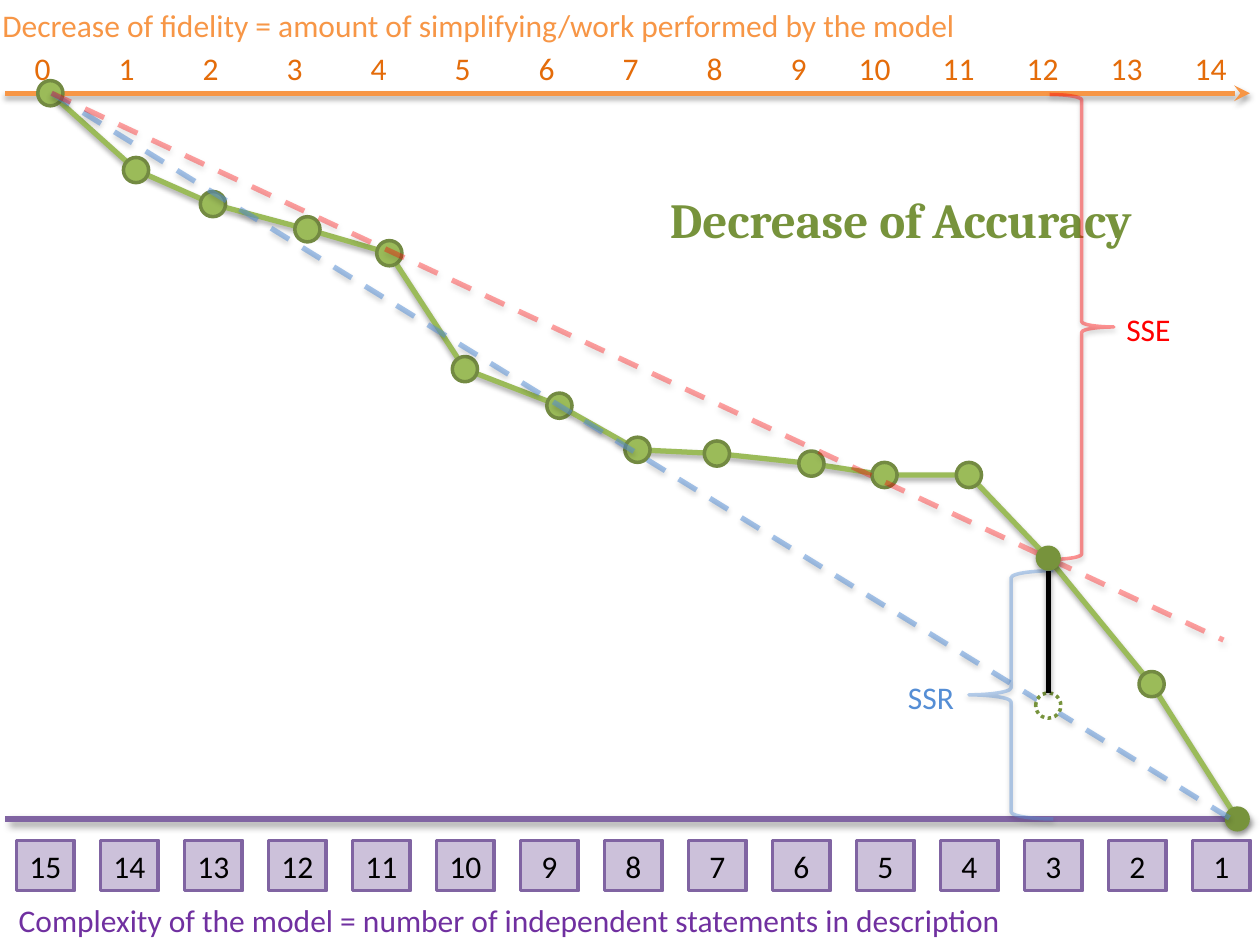
from collections import namedtuple

from lxml import etree
from pptx import Presentation
from pptx.dml.color import RGBColor
from pptx.enum.dml import MSO_LINE_DASH_STYLE
from pptx.enum.shapes import MSO_CONNECTOR_TYPE, MSO_SHAPE
from pptx.enum.text import MSO_ANCHOR, MSO_AUTO_SIZE, PP_ALIGN
from pptx.oxml.ns import qn
from pptx.util import Inches, Pt

STRAIGHT = MSO_CONNECTOR_TYPE.STRAIGHT
RECTANGLE, OVAL = MSO_SHAPE.RECTANGLE, MSO_SHAPE.OVAL
RIGHT_BRACE = MSO_SHAPE.RIGHT_BRACE
DASH, ROUND_DOT = MSO_LINE_DASH_STYLE.DASH, MSO_LINE_DASH_STYLE.ROUND_DOT
LEFT, CENTER, RIGHT = PP_ALIGN.LEFT, PP_ALIGN.CENTER, PP_ALIGN.RIGHT
TOP, MIDDLE = MSO_ANCHOR.TOP, MSO_ANCHOR.MIDDLE
GROW = MSO_AUTO_SIZE.SHAPE_TO_FIT_TEXT

BLACK = RGBColor(0x00, 0x00, 0x00)
WHITE = RGBColor(0xFF, 0xFF, 0xFF)
ORANGE = RGBColor(0xF7, 0x96, 0x46)
DARK_ORANGE = RGBColor(0xE4, 0x6C, 0x0A)
PURPLE = RGBColor(0x80, 0x64, 0xA2)
LILAC = RGBColor(0xCC, 0xC1, 0xDA)
VIOLET = RGBColor(0x70, 0x30, 0xA0)
GREEN = RGBColor(0x9B, 0xBB, 0x59)
OLIVE = RGBColor(0x73, 0x8A, 0x42)
DARK_GREEN = RGBColor(0x77, 0x93, 0x3C)
BLUE = RGBColor(0x55, 0x8E, 0xD5)
RED = RGBColor(0xFF, 0x00, 0x00)

Box = namedtuple("Box", "left top width height")
Shadow = namedtuple("Shadow", "opacity blur distance angle")
SOFT = Shadow(35, 3.1, 1.8, 90)
BRACE_SHADOW = Shadow(38, 3.1, 1.6, 90)
SLANTED = Shadow(40, 4, 3, 45)

STATEMENTS = 15
STEP = 2 / 3
CELL = 0.46
DOT = 0.2
SELECTED = 12
ACCURACY = [(0, 0), (0.68, 0.61), (1.29, 0.88), (2.04, 1.08), (2.69, 1.27),
            (3.29, 2.19), (4.04, 2.48), (4.66, 2.83), (5.29, 2.86), (6.04, 2.94),
            (6.62, 3.03), (7.29, 3.03), (7.92, 3.69), (8.74, 4.69), (9.42, 5.76)]


def inches(*lengths):
    return [Inches(length) for length in lengths]


def write(frame, text, size=18, font="Calibri", color=BLACK, align=LEFT,
          bold=False, anchor=TOP):
    frame.word_wrap = True
    frame.auto_size = GROW
    frame.vertical_anchor = anchor
    paragraph = frame.paragraphs[0]
    paragraph.alignment = align
    run = paragraph.add_run()
    run.text = text
    run.font.size = Pt(size)
    run.font.name = font
    run.font.bold = bold
    run.font.color.rgb = color


def add_label(shapes, box, text, **text_format):
    write(shapes.add_textbox(*inches(*box)).text_frame, text, **text_format)


def style_line(shape, color, width, dash=None, opacity=None, arrow=False):
    line = shape.line
    line.color.rgb = color
    line.width = Pt(width)
    if dash:
        line.dash_style = dash
    outline = shape.element.spPr.find(qn("a:ln"))
    if opacity:
        rgb = outline.find(".//" + qn("a:srgbClr"))
        etree.SubElement(rgb, qn("a:alpha"), val=str(opacity * 1000))
    if arrow:
        etree.SubElement(outline, qn("a:tailEnd"), type="stealth")


def set_shadow(shape, shadow=None):
    effects = etree.SubElement(shape.element.spPr, qn("a:effectLst"))
    if shadow:
        outer = etree.SubElement(
            effects, qn("a:outerShdw"), blurRad=str(Pt(shadow.blur)),
            dist=str(Pt(shadow.distance)), dir=str(shadow.angle * 60000),
            rotWithShape="0")
        rgb = etree.SubElement(outer, qn("a:srgbClr"), val=str(BLACK))
        etree.SubElement(rgb, qn("a:alpha"), val=str(shadow.opacity * 1000))


def add_line(shapes, start, end, color, shadow=SOFT, **line_format):
    connector = shapes.add_connector(STRAIGHT, *inches(*start, *end))
    style_line(connector, color, 3, **line_format)
    set_shadow(connector, shadow)


def add_filled(shapes, kind, box, fill, outline=None, shadow=None, dash=None):
    shape = shapes.add_shape(kind, *inches(*box))
    shape.fill.solid()
    shape.fill.fore_color.rgb = fill
    if outline:
        style_line(shape, outline, 2, dash)
    else:
        shape.line.fill.background()
    set_shadow(shape, shadow)
    return shape


def add_dot(shapes, center, fill, **shape_format):
    x, y = center
    add_filled(shapes, OVAL, Box(x - DOT / 2, y - DOT / 2, DOT, DOT), fill, **shape_format)


def add_fidelity_axis(shapes, box):
    add_label(shapes, Box(box.left - 0.12, box.top, 8.25, 0.4),
              "Decrease of fidelity = amount of simplifying/work performed by the model",
              color=ORANGE)
    for step in range(STATEMENTS):
        add_label(shapes, Box(box.left + step * STEP, box.top + 0.34, CELL, 0.4),
                  str(step), color=DARK_ORANGE, align=RIGHT)
    bottom = box.top + box.height
    add_line(shapes, (box.left, bottom), (box.left + box.width, bottom), ORANGE, arrow=True)


def add_complexity_axis(shapes, box):
    add_line(shapes, (box.left, box.top), (box.left + box.width, box.top), PURPLE,
             SLANTED, arrow=True)
    for step in range(STATEMENTS):
        cell = Box(box.left + 0.09 + step * STEP, box.top + 0.17, CELL, 0.4)
        square = add_filled(shapes, RECTANGLE, cell, LILAC, PURPLE)
        write(square.text_frame, str(STATEMENTS - step), align=CENTER)
    add_label(shapes, Box(box.left + 0.01, box.top + 0.6, 8.25, 0.4),
              "Complexity of the model = number of independent statements in description",
              color=VIOLET)


def add_accuracy_curve(shapes, box):
    points = [(box.left + x, box.top + y) for x, y in ACCURACY]
    outline = [inches(*point) for point in points]
    builder = shapes.build_freeform(*outline[0])
    builder.add_line_segments(outline[1:], close=False)
    curve = builder.convert_to_shape()
    curve.fill.background()
    style_line(curve, GREEN, 3)
    set_shadow(curve, SOFT)
    for step, point in enumerate(points[:-1]):
        if step != SELECTED:
            add_dot(shapes, point, GREEN, outline=OLIVE)
    add_dot(shapes, points[-1], DARK_GREEN, shadow=SOFT)


def add_trends(shapes, box):
    start = (box.left + 0.01, box.top)
    right = box.left + box.width
    add_line(shapes, start, (right, box.top + 5.79), BLUE, dash=DASH, opacity=52)
    add_line(shapes, start, (right - 0.11, box.top + 4.34), RED, dash=DASH, opacity=37)


def add_brace(shapes, box, text, color, flipped=False):
    brace = shapes.add_shape(RIGHT_BRACE, *inches(*box))
    brace.fill.background()
    style_line(brace, color, 2, opacity=41)
    set_shadow(brace, BRACE_SHADOW)
    if flipped:
        brace.element.spPr.xfrm.set("flipH", "1")
    width = 1.11
    label_left = box.left - width - 0.02 if flipped else box.left + box.width
    add_label(shapes, Box(label_left, box.top + box.height / 2 - 0.18, width, 0.42),
              text, color=color, align=RIGHT if flipped else LEFT)


def add_selected_model(shapes, box):
    x, y = box.left + ACCURACY[SELECTED][0], box.top + ACCURACY[SELECTED][1]
    expected = box.top + 4.86
    add_dot(shapes, (x, expected), WHITE, outline=DARK_GREEN, dash=ROUND_DOT)
    add_brace(shapes, Box(x + 0.01, box.top + 0.01, 0.51, 3.69), "SSE", RED)
    add_brace(shapes, Box(x - 0.63, y + DOT / 2, 0.67, 1.97), "SSR", BLUE, flipped=True)
    add_dot(shapes, (x, y), DARK_GREEN, shadow=SOFT)
    add_line(shapes, (x, y + DOT / 2), (x, expected - DOT / 2), BLACK)


def add_title(slide, box):
    title = slide.shapes.title
    title.left, title.top, title.width, title.height = inches(*box)
    write(title.text_frame, "Decrease of Accuracy", size=28, font="Cambria",
          color=DARK_GREEN, align=CENTER, bold=True, anchor=MIDDLE)


def main():
    presentation = Presentation()
    presentation.slide_width, presentation.slide_height = inches(10, 7.5)
    slide = presentation.slides.add_slide(presentation.slide_layouts[5])
    add_title(slide, Box(4.58, 1.45, 5.14, 0.57))
    axes = slide.shapes.add_group_shape().shapes
    add_fidelity_axis(axes, Box(0.04, 0, 9.88, 0.74))
    add_complexity_axis(axes, Box(0.04, 6.5, 9.88, 1))
    plot = Box(0.4, 0.74, 9.42, 5.76)
    for add_part in (add_accuracy_curve, add_trends, add_selected_model):
        add_part(slide.shapes, plot)
    presentation.save("out.pptx")


if __name__ == "__main__":
    main()
